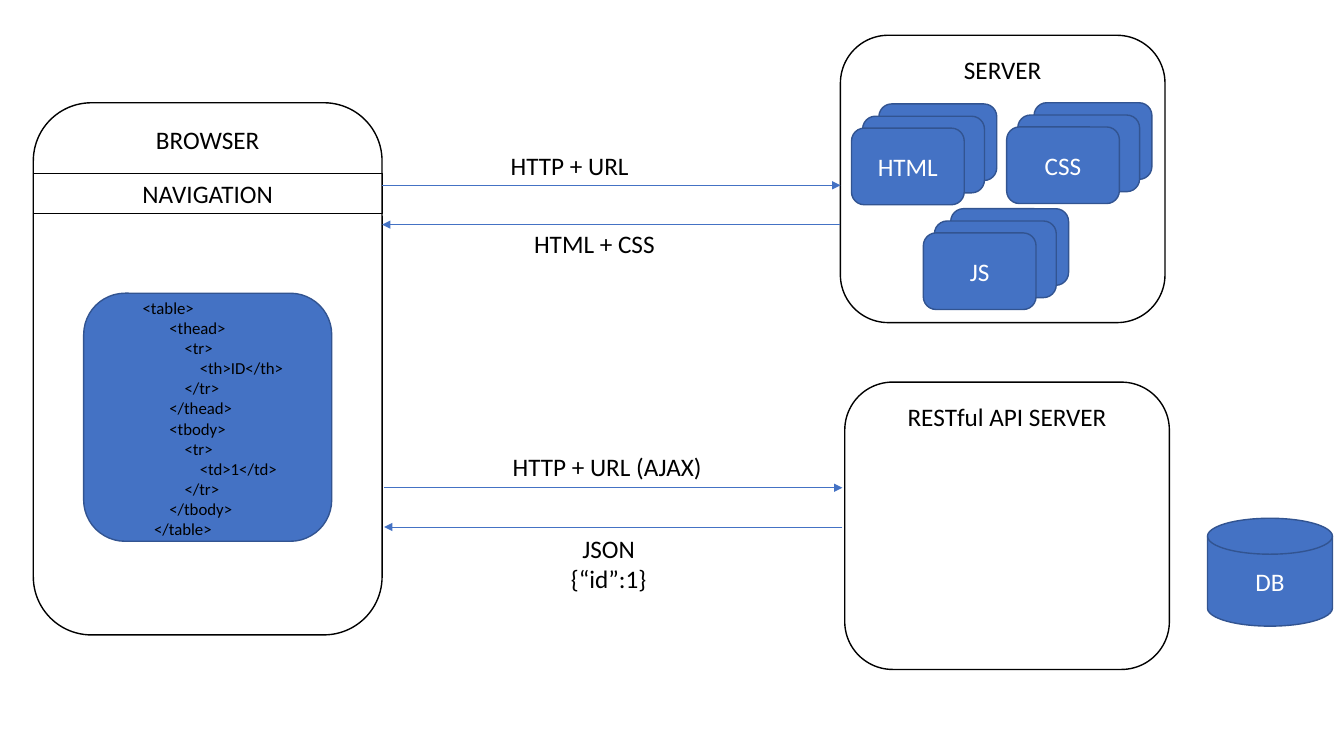
from dataclasses import dataclass

from lxml.etree import SubElement
from pptx import Presentation
from pptx.dml.color import RGBColor
from pptx.enum.shapes import MSO_CONNECTOR, MSO_SHAPE
from pptx.enum.text import MSO_ANCHOR, PP_ALIGN
from pptx.oxml.ns import qn
from pptx.util import Cm, Pt

BLACK, WHITE, BLUE, NAVY = "000000", "FFFFFF", "4472C4", "325491"
ROUND = MSO_SHAPE.ROUNDED_RECTANGLE
SPACE = 0.096


@dataclass
class Box:
    left: float
    top: float
    width: float
    height: float
    text: str = ""
    kind: MSO_SHAPE = ROUND
    fill: str | None = WHITE
    line: str = BLACK
    weight: float = 1
    color: str = BLACK
    anchor: MSO_ANCHOR = MSO_ANCHOR.TOP


@dataclass
class Label:
    left: float
    top: float
    width: float
    height: float
    text: str
    align: PP_ALIGN = PP_ALIGN.LEFT


@dataclass
class Arrow:
    start: float
    end: float
    top: float


@dataclass
class Stack:
    left: float
    top: float
    text: str


@dataclass
class Code:
    spaces: int
    text: str


def paint(value: str) -> RGBColor:
    return RGBColor.from_string(value)


def write(frame, text: str, *, size=18, color=BLACK, align=PP_ALIGN.CENTER,
          anchor=MSO_ANCHOR.TOP, wrap=True, spaces=()) -> None:
    frame.word_wrap = wrap
    frame.vertical_anchor = anchor
    frame.text = text
    for item in frame.paragraphs:
        item.alignment = align
        item.font.name = "Calibri"
        item.font.size = Pt(size)
        item.font.color.rgb = paint(color)
    for item, count in zip(frame.paragraphs, spaces):
        item._p.get_or_add_pPr().set("marL", str(Cm(count * SPACE)))


def draw_box(slide, box: Box) -> None:
    shape = slide.shapes.add_shape(
        box.kind, Cm(box.left), Cm(box.top), Cm(box.width), Cm(box.height))
    shape.shadow.inherit = False
    if box.fill:
        shape.fill.solid()
        shape.fill.fore_color.rgb = paint(box.fill)
    else:
        shape.fill.background()
    shape.line.color.rgb = paint(box.line)
    shape.line.width = Pt(box.weight)
    if box.text:
        write(shape.text_frame, box.text, color=box.color, anchor=box.anchor)


def blue_box(left: float, top: float, width: float, height: float,
             text: str = "", kind: MSO_SHAPE = ROUND) -> Box:
    return Box(left, top, width, height, text, kind, BLUE, NAVY,
               color=WHITE, anchor=MSO_ANCHOR.MIDDLE)


def draw_stack(slide, stack: Stack) -> None:
    sheets = ((0.69, -0.61, 2.97, ""), (0.28, -0.3, 3.07, ""),
              (0, 0, 2.84, stack.text))
    for right, down, width, text in sheets:
        draw_box(slide, blue_box(stack.left + right, stack.top + down,
                                 width, 1.93, text))


def draw_label(slide, label: Label) -> None:
    field = slide.shapes.add_textbox(
        Cm(label.left), Cm(label.top), Cm(label.width), Cm(label.height))
    write(field.text_frame, label.text, align=label.align, wrap=False)


def draw_arrow(slide, arrow: Arrow) -> None:
    link = slide.shapes.add_connector(
        MSO_CONNECTOR.STRAIGHT, Cm(arrow.start), Cm(arrow.top),
        Cm(arrow.end), Cm(arrow.top))
    link.line.color.rgb = paint(BLUE)
    link.line.width = Pt(0.5)
    SubElement(link.line._get_or_add_ln(), qn("a:tailEnd"), type="triangle")
    SubElement(link._element.spPr, qn("a:effectLst"))


def draw_code(slide, lines: list[Code]) -> None:
    field = slide.shapes.add_textbox(Cm(3.25), Cm(7.37), Cm(4.29), Cm(6.4))
    write(field.text_frame, "\n".join(line.text for line in lines), size=12,
          align=PP_ALIGN.LEFT, spaces=[line.spaces for line in lines])


BOXES = [
    Box(0.84, 2.59, 8.79, 13.41, "BROWSER"),
    Box(0.84, 4.37, 8.79, 1.02, "NAVIGATION", MSO_SHAPE.RECTANGLE, None,
        weight=0.5),
    blue_box(2.11, 7.39, 6.25, 6.25),
    blue_box(30.43, 13.06, 3.15, 2.72, "DB",
             MSO_SHAPE.FLOWCHART_MAGNETIC_DISK),
    Box(21.18, 0.89, 8.18, 7.24, "SERVER"),
    Box(21.29, 9.63, 8.18, 7.24, "RESTful API SERVER"),
]
ARROWS = [
    Arrow(9.63, 21.18, 4.67),
    Arrow(21.18, 9.63, 5.66),
    Arrow(9.68, 21.23, 12.29),
    Arrow(21.23, 9.68, 13.28),
]
LABELS = [
    Label(12.62, 3.66, 3.53, 1.02, "HTTP + URL"),
    Label(13.21, 5.64, 3.58, 1.02, "HTML + CSS"),
    Label(12.67, 11.25, 5.33, 1.02, "HTTP + URL (AJAX)"),
    Label(14.12, 13.31, 2.44, 1.8, "JSON\n{“id”:1}", PP_ALIGN.CENTER),
]
STACKS = [
    Stack(21.46, 3.23, "HTML"),
    Stack(25.37, 3.2, "CSS"),
    Stack(23.27, 5.87, "JS"),
]
CODE = [
    Code(1, "<table>"),
    Code(8, "<thead>"),
    Code(12, "<tr>"),
    Code(16, "<th>ID</th>"),
    Code(12, "</tr>"),
    Code(8, "</thead>"),
    Code(8, "<tbody>"),
    Code(12, "<tr>"),
    Code(16, "<td>1</td>"),
    Code(12, "</tr>"),
    Code(8, "</tbody>"),
    Code(4, "</table>"),
]


def main() -> None:
    deck = Presentation()
    deck.slide_width, deck.slide_height = Cm(33.87), Cm(19.05)
    slide = deck.slides.add_slide(deck.slide_layouts[6])
    for box in BOXES:
        draw_box(slide, box)
    for arrow in ARROWS:
        draw_arrow(slide, arrow)
    for label in LABELS:
        draw_label(slide, label)
    for stack in STACKS:
        draw_stack(slide, stack)
    draw_code(slide, CODE)
    deck.save("out.pptx")


if __name__ == "__main__":
    main()
